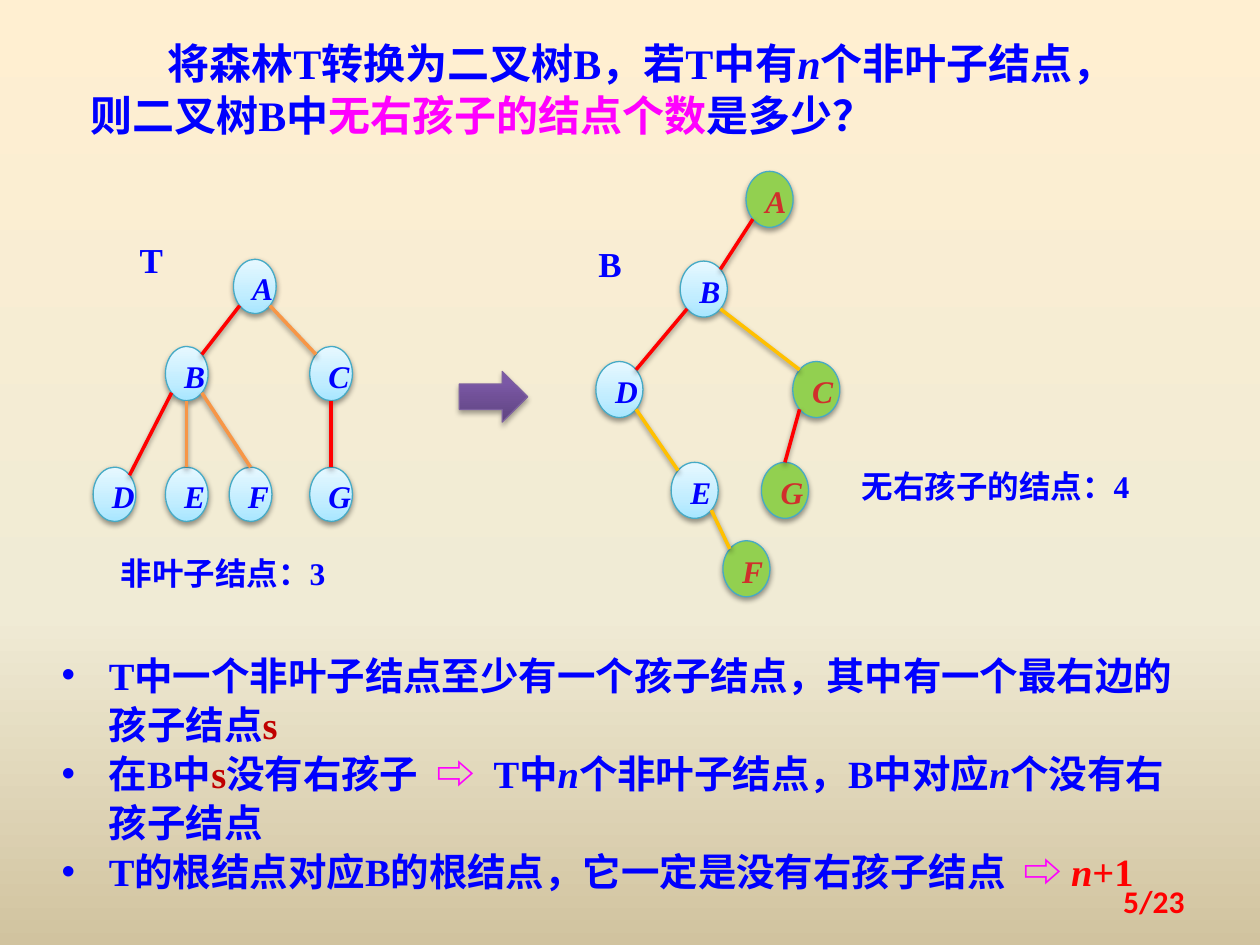
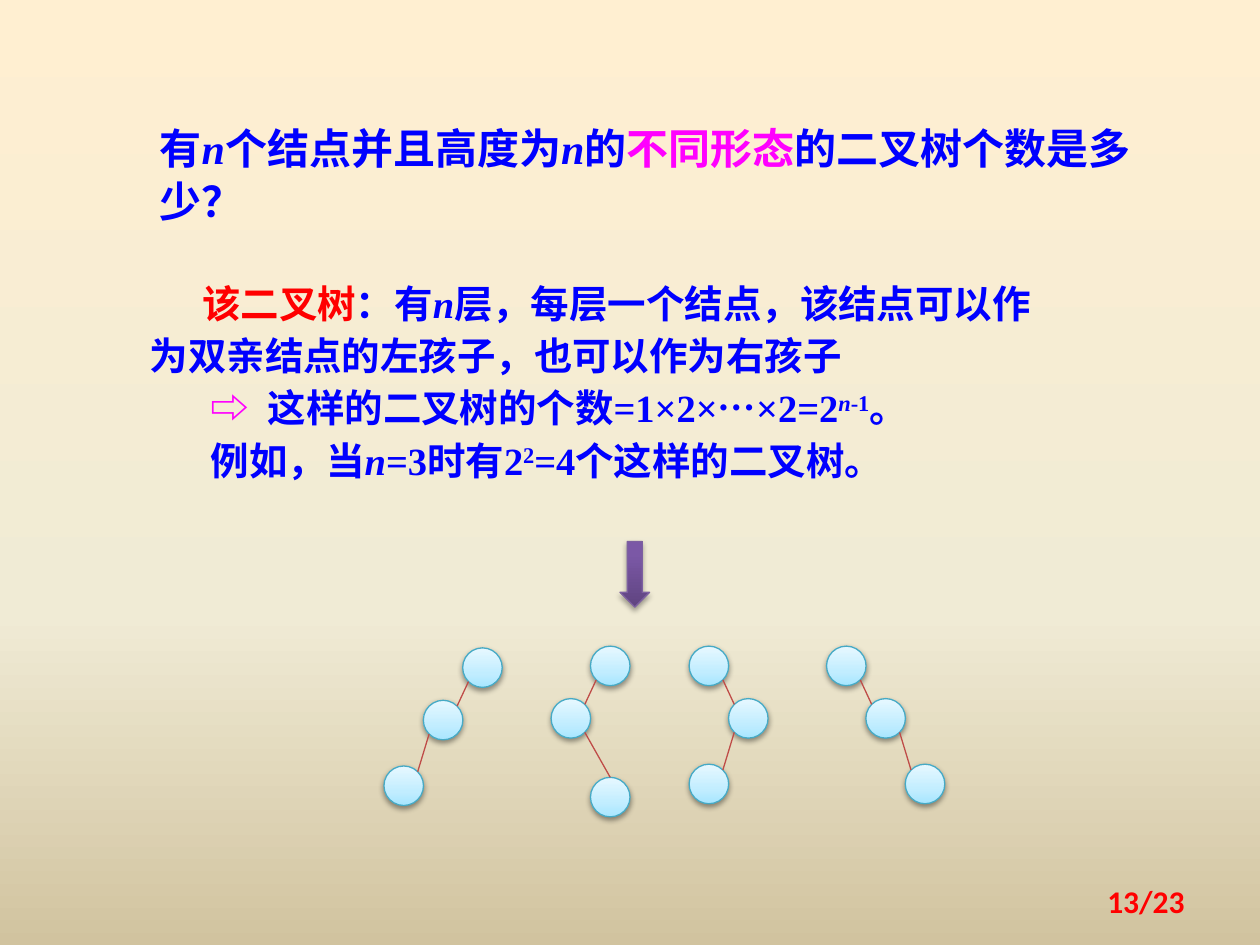
"""Build two slides on counting nodes in binary trees."""
from dataclasses import dataclass
from math import cos, radians, sin

from lxml.etree import SubElement
from pptx import Presentation
from pptx.dml.color import RGBColor
from pptx.enum.shapes import MSO_CONNECTOR, MSO_SHAPE
from pptx.enum.text import MSO_ANCHOR, MSO_AUTO_SIZE, PP_ALIGN
from pptx.oxml.ns import qn
from pptx.util import Pt


@dataclass(frozen=True)
class Theme:
    """Colours, fonts and type sizes shared by the slides."""
    blue: str = "0000FF"
    magenta: str = "FF00FF"
    red: str = "FF0000"
    dark_red: str = "C00000"
    letter_red: str = "D02F2C"
    orange: str = "F79646"
    amber: str = "FFC000"
    green: str = "92D050"
    thin_red: str = "BF4C48"
    node_line: str = "46AAC5"
    arrow_line: str = "7D60A0"
    background: tuple = ((0, "FFEFD1"), (65, "F0EBD5"), (100, "D1C39F"))
    node_fill: tuple = ((0, "A7E6FF"), (35, "C1EDFF"), (100, "E7F8FF"))
    arrow_fill: tuple = ((0, "5F4480"), (80, "7B58A6"), (100, "7C57A8"))
    serif: str = "Times New Roman"
    sans: str = "Calibri"
    chinese: str = "Noto Sans CJK SC"
    title: int = 24
    body: int = 22
    label: int = 20
    small: int = 18


THEME = Theme()
TOP, UPPER_LEFT, LOWER_LEFT, BOTTOM, LOWER_RIGHT, UPPER_RIGHT = 0, 1, 3, 4, 5, 7
LEFTWARD = (LOWER_LEFT, UPPER_RIGHT)
RIGHTWARD = (LOWER_RIGHT, UPPER_LEFT)
DOWNWARD = (BOTTOM, TOP)

ITALIC = {"italic": True}
MAGENTA = {"color": THEME.magenta}
RED = {"color": THEME.red}
DARK_RED = {"color": THEME.dark_red}
GAP = (" ", {"tracking": 5.5})
ARROW = ("⇨", MAGENTA)
N = ("n", ITALIC)


def write_span(para, text, size=THEME.small, color=THEME.blue, font=THEME.serif,
               italic=False, raised=0, tracking=0):
    """Append bold text to a paragraph with the given format."""
    span = para.add_run()
    span.text = text
    span.font.size = Pt(size)
    span.font.bold = True
    span.font.italic = italic
    span.font.name = font
    span.font.color.rgb = RGBColor.from_string(color)
    properties = span._r.get_or_add_rPr()
    SubElement(properties, qn("a:ea")).set("typeface", THEME.chinese)
    if raised:
        properties.set("baseline", str(raised * 1000))
    if tracking:
        properties.set("spc", str(int(tracking * 100)))


def indent(para, margin, first):
    """Set the left margin and first-line indent of a paragraph."""
    properties = para._p.get_or_add_pPr()
    properties.set("marL", str(Pt(margin)))
    properties.set("indent", str(Pt(first)))
    return properties


def add_bullet(para, margin):
    """Hang a round bullet to the left of a paragraph."""
    properties = indent(para, margin, -margin)
    SubElement(properties, qn("a:buFont")).set("typeface", "Arial")
    SubElement(properties, qn("a:buChar")).set("char", "•")


def add_text(page, place, paragraphs, size, leading=30, indents=(), bullet=0):
    """Add a text box whose paragraphs are lists of strings or (text, format) pairs."""
    box = page.shapes.add_textbox(*map(Pt, place))
    frame = box.text_frame
    frame.word_wrap = True
    frame.auto_size = MSO_AUTO_SIZE.SHAPE_TO_FIT_TEXT
    for index, spans in enumerate(paragraphs):
        para = frame.add_paragraph() if index else frame.paragraphs[0]
        para.line_spacing = Pt(leading)
        if indents:
            indent(para, 0, indents[index])
        if bullet:
            add_bullet(para, bullet)
        for item in spans:
            text, style = (item, {}) if isinstance(item, str) else item
            write_span(para, text, size=size, **style)


def add_page_number(page, text):
    """Add the red page number at the lower right."""
    box = page.shapes.add_textbox(Pt(516), Pt(500.5), Pt(168), Pt(28.75))
    box.text_frame.word_wrap = True
    box.text_frame.vertical_anchor = MSO_ANCHOR.MIDDLE
    para = box.text_frame.paragraphs[0]
    para.alignment = PP_ALIGN.RIGHT
    write_span(para, text, color=THEME.red, font=THEME.sans)


def fill_gradient(fill, element, stops, angle):
    """Give a fill a linear gradient of (percent, colour) stops."""
    fill.gradient()
    fill.gradient_angle = angle
    stop_list = element.find(".//" + qn("a:gsLst"))
    stop_list.clear()
    for percent, color in stops:
        stop = SubElement(stop_list, qn("a:gs"), pos=str(percent * 1000))
        SubElement(stop, qn("a:srgbClr"), val=color)


def set_shadow(item, opacity=0, distance=1.6):
    """Replace the default shadow by a soft one below, or by none."""
    effects = SubElement(item._element.spPr, qn("a:effectLst"))
    if opacity:
        shadow = SubElement(effects, qn("a:outerShdw"), blurRad=str(Pt(3.1)),
                            dist=str(Pt(distance)), dir="5400000", rotWithShape="0")
        color = SubElement(shadow, qn("a:srgbClr"), val="000000")
        SubElement(color, qn("a:alpha"), val=str(opacity * 1000))


def add_figure(page, kind, place, fill, line, opacity=38, distance=1.6):
    """Add a preset shape with a solid or gradient fill, thin line and shadow."""
    figure = page.shapes.add_shape(kind, *map(Pt, place))
    if isinstance(fill, str):
        figure.fill.solid()
        figure.fill.fore_color.rgb = RGBColor.from_string(fill)
    else:
        fill_gradient(figure.fill, figure._element.spPr, fill, 90)
    figure.line.color.rgb = RGBColor.from_string(line)
    figure.line.width = Pt(0.75)
    set_shadow(figure, opacity, distance)
    return figure


def add_block_arrow(page, kind, place):
    """Add a purple block arrow."""
    add_figure(page, kind, place, THEME.arrow_fill, THEME.arrow_line, 35, 1.8)


def add_node(page, place, letter="", marked=False):
    """Add a tree node, green when marked, with an optional letter."""
    fill = THEME.green if marked else THEME.node_fill
    node = add_figure(page, MSO_SHAPE.OVAL, place, fill, THEME.node_line)
    if letter:
        node.text_frame.vertical_anchor = MSO_ANCHOR.MIDDLE
        para = node.text_frame.paragraphs[0]
        para.alignment = PP_ALIGN.CENTER
        para.line_spacing = 1.1
        para.space_before = Pt(9)
        write_span(para, letter, italic=True,
                   color=THEME.letter_red if marked else THEME.blue)
    return node


def site(node, index):
    """Return the point at one of the eight sites of an oval, counted from the top."""
    turn = radians(45 * index)
    return (int(node.left + node.width / 2 * (1 - sin(turn))),
            int(node.top + node.height / 2 * (1 - cos(turn))))


def add_edge(page, parent, child, sites, color, width=2, opacity=38):
    """Join two nodes by a line between the given sites."""
    start, end = sites
    edge = page.shapes.add_connector(MSO_CONNECTOR.STRAIGHT,
                                     *site(parent, start), *site(child, end))
    edge.line.color.rgb = RGBColor.from_string(color)
    edge.line.width = Pt(width)
    set_shadow(edge, opacity)


def add_tree(page, size, places, edges, marked=""):
    """Add lettered nodes and the edges between them."""
    nodes = {letter: add_node(page, (*corner, *size), letter, letter in marked)
             for letter, corner in places.items()}
    for (parent, child), sites, color in edges:
        add_edge(page, nodes[parent], nodes[child], sites, color)


def add_chain(page, left, top, columns, drop=67.5, last_site=None):
    """Add a three-level chain whose nodes stand in the given columns."""
    size, step = 22.6, 22.5
    nodes = [add_node(page, (left + column * step, top + fall, size, size))
             for column, fall in zip(columns, (0, 30, drop))]
    for level in (0, 1):
        falls_left = columns[level + 1] < columns[level]
        start, end = LEFTWARD if falls_left else RIGHTWARD
        if level and last_site is not None:
            end = last_site
        add_edge(page, nodes[level], nodes[level + 1], (start, end),
                 THEME.thin_red, 0.75, 0)


def build_forest_page(deck):
    """Build the slide that turns a forest into a binary tree."""
    page = deck.slides.add_slide(deck.slide_layouts[6])
    add_text(page, (44.6, 16.6, 590.4, 67.7), [[
        "将森林T转换为二叉树B，若T中有", N, "个非叶子结点，则二叉树B中",
        ("无右孩子的结点个数", MAGENTA), "是多少？"]], THEME.title, indents=[44])
    add_block_arrow(page, MSO_SHAPE.RIGHT_ARROW, (262.5, 212.2, 39, 29))

    middle, low = 198, 267
    add_tree(page, (24.4, 31), {
        "A": (133.4, 148.2), "B": (94.5, middle), "C": (177, middle),
        "D": (53.2, low), "E": (94.5, low), "F": (131, low), "G": (177, low)}, [
        ("AB", LEFTWARD, THEME.red), ("AC", RIGHTWARD, THEME.orange),
        ("BD", LEFTWARD, THEME.red), ("BE", DOWNWARD, THEME.orange),
        ("BF", (LOWER_RIGHT, TOP), THEME.orange), ("CG", DOWNWARD, THEME.red)])

    middle, low = 206.6, 264.2
    add_tree(page, (26.9, 32), {
        "A": (426.3, 97.9), "B": (388.7, 149.2), "C": (453, middle),
        "D": (340.5, middle), "E": (383.5, low), "F": (413.1, 309),
        "G": (435.1, low)}, [
        ("AB", LEFTWARD, THEME.red), ("BD", LEFTWARD, THEME.red),
        ("BC", RIGHTWARD, THEME.amber), ("DE", RIGHTWARD, THEME.amber),
        ("EF", RIGHTWARD, THEME.amber), ("CG", (LOWER_LEFT, TOP), THEME.red)],
        marked="ACFG")

    for text, left, top, width, size in (
            ("B", 334.8, 128.9, 38.9, THEME.label),
            ("T", 72.7, 126.7, 38.9, THEME.label),
            ("非叶子结点：3", 61.9, 304.6, 162, THEME.small),
            ("无右孩子的结点：4", 485.3, 254.9, 195.1, THEME.small)):
        add_text(page, (left, top, width, 37.4), [[text]], size)

    add_text(page, (28.1, 367.2, 652.3, 146.2), [
        ["T中一个非叶子结点至少有一个孩子结点，其中有一个最右边的孩子结点",
         ("s", DARK_RED)],
        ["在B中", ("s", DARK_RED), "没有右孩子", GAP, ARROW, GAP, "T中", N,
         "个非叶子结点，B中对应", N, "个没有右孩子结点"],
        ["T的根结点对应B的根结点，它一定是没有右孩子结点", GAP, ARROW, " ",
         ("n", {**RED, **ITALIC}), ("+1", RED)]],
        THEME.body, leading=28, bullet=27)
    add_page_number(page, "5/23")


def build_shapes_page(deck):
    """Build the slide that counts trees of full height."""
    page = deck.slides.add_slide(deck.slide_layouts[6])
    add_text(page, (84.2, 65.5, 585.4, 67.7), [[
        "有", N, "个结点并且高度为", N, "的", ("不同形态", MAGENTA),
        "的二叉树个数是多少？"]], THEME.title)
    add_text(page, (78.5, 152.6, 523.4, 128.2), [
        [("该二叉树", RED), "：有", N,
         "层，每层一个结点，该结点可以作为双亲结点的左孩子，也可以作为右孩子"],
        [ARROW, GAP, "这样的二叉树的个数=1×2×", ("…", {"font": THEME.chinese}),
         "×2=2", ("n", {"italic": True, "raised": 30}), ("-1", {"raised": 30}), "。"],
        ["例如，当", N, "=3时有2", ("2", {"raised": 30}), "=4个这样的二叉树。"]],
        THEME.body, indents=[30, 35, 35])

    add_chain(page, 264.4, 370.2, (0, -1, -2))
    add_chain(page, 337.4, 369.2, (0, -1, 0), drop=75, last_site=TOP)
    add_chain(page, 393.8, 369.2, (0, 1, 0))
    add_chain(page, 472.3, 369.2, (0, 1, 2))
    add_block_arrow(page, MSO_SHAPE.DOWN_ARROW, (354.3, 309.4, 16.9, 37.5))
    add_page_number(page, "13/23")


def main():
    """Build the deck and save it."""
    deck = Presentation()
    deck.slide_width, deck.slide_height = Pt(720), Pt(540)
    master = deck.slide_master
    fill_gradient(master.background.fill, master._element, THEME.background, 270)
    build_forest_page(deck)
    build_shapes_page(deck)
    deck.save("out.pptx")


main()
